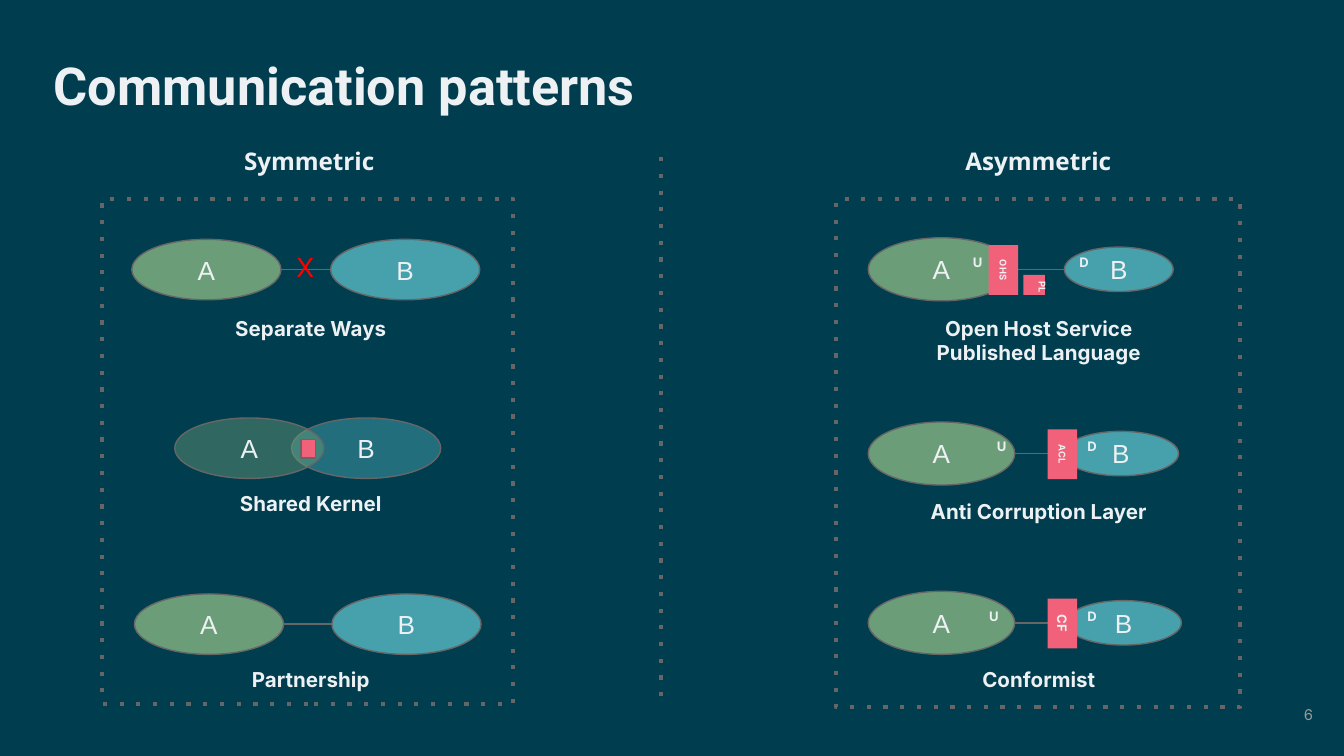
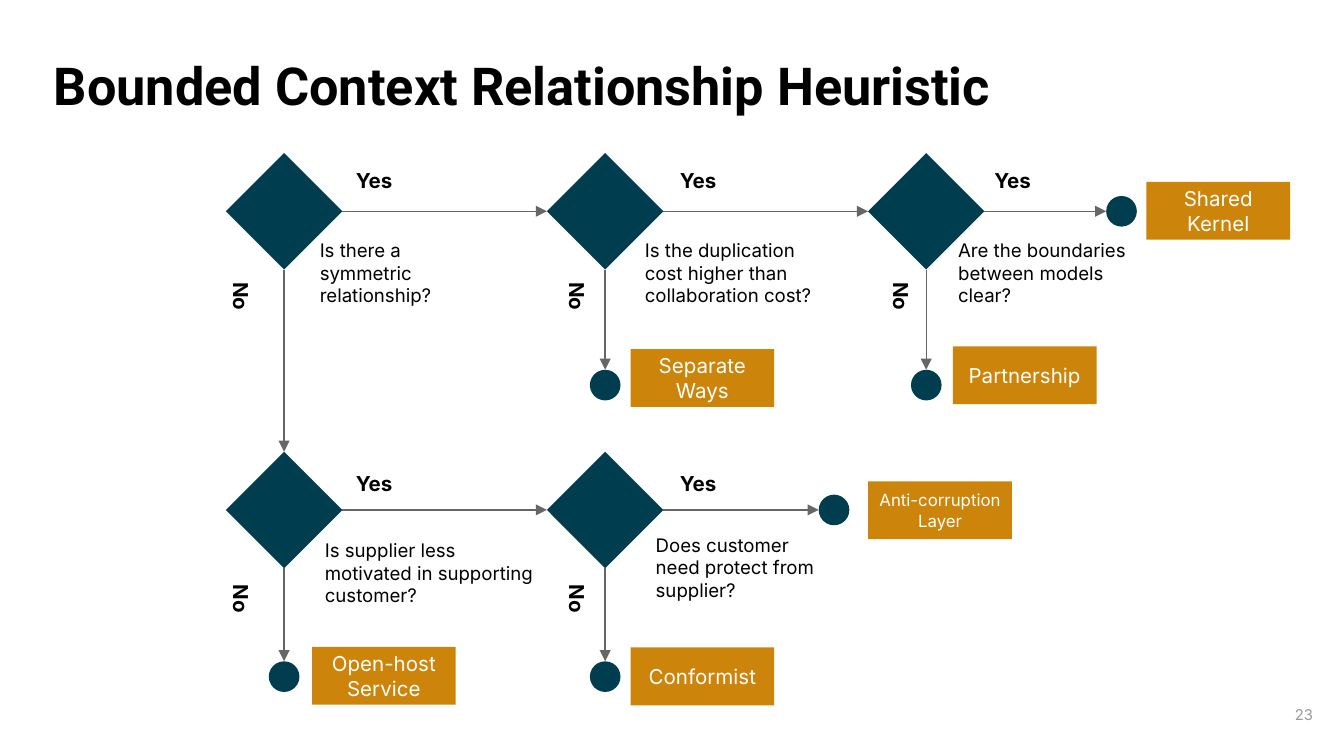
import dataclasses

import pptx
import pptx.dml.color
import pptx.enum.shapes
import pptx.enum.text
import pptx.oxml
import pptx.oxml.ns
import pptx.util

Pt = pptx.util.Pt
qn = pptx.oxml.ns.qn
Shape = pptx.enum.shapes.MSO_SHAPE
Align = pptx.enum.text.PP_ALIGN
Anchor = pptx.enum.text.MSO_ANCHOR
RGB = pptx.dml.color.RGBColor.from_string


@dataclasses.dataclass(frozen=True)
class Theme:
    navy: str = "003D4F"
    pale: str = "EDF1F3"
    white: str = "FFFFFF"
    black: str = "000000"
    gray: str = "666666"
    mute: str = "999999"
    green: str = "6B9E78"
    teal: str = "47A1AD"
    pink: str = "F2617A"
    amber: str = "CC850A"
    red: str = "FF0000"
    body: str = "Inter"
    title: str = "Roboto"
    head: str = "Open Sans"
    node: str = "Arial"
    title_size: float = 28
    node_size: float = 14
    head_size: float = 13
    label_size: float = 11
    ask_size: float = 10
    small_size: float = 9
    page_size: float = 8
    role_size: float = 7
    tag_size: float = 5
    thin: float = 0.75
    thick: float = 2.25


T = Theme()


def box(slide, kind, rect, text="", size=T.label_size, color=T.pale, font=T.body,
        bold=False, align=Align.CENTER, mid=None, inset=7.2, fit=False,
        fill=None, alpha=None, line=None, width=T.thin, turn=0):
    """Add a preset shape, or a text box when kind is None."""
    rect = [Pt(v) for v in rect]
    if kind is None:
        item = slide.shapes.add_textbox(*rect)
    else:
        item = slide.shapes.add_shape(kind, *rect)
        item.shadow.inherit = False
        if fill:
            item.fill.solid()
            item.fill.fore_color.rgb = RGB(fill)
        else:
            item.fill.background()
        if line:
            item.line.color.rgb = RGB(line)
            item.line.width = Pt(width)
        else:
            item.line.fill.background()
    if alpha:
        tone = item.fill._xPr.find(qn("a:solidFill"))[0]
        tone.append(pptx.oxml.parse_xml(
            f'<a:alpha {pptx.oxml.ns.nsdecls("a")} val="{alpha * 1000}"/>'))
    item.rotation = turn
    if not text:
        return item
    frame = item.text_frame
    frame.word_wrap = True
    if fit:
        frame.auto_size = pptx.enum.text.MSO_AUTO_SIZE.SHAPE_TO_FIT_TEXT
    frame.margin_left = frame.margin_right = Pt(inset)
    frame.margin_top = frame.margin_bottom = Pt(inset)
    if mid is None:
        mid = kind is not None
    frame.vertical_anchor = Anchor.MIDDLE if mid else Anchor.TOP
    for i, part in enumerate(text.split("\n")):
        para = frame.add_paragraph() if i else frame.paragraphs[0]
        para.alignment = align
        run = para.add_run()
        run.text = part
        run.font.name = font
        run.font.size = Pt(size)
        run.font.bold = bold
        run.font.color.rgb = RGB(color)
    return item


def link(slide, x1, y1, x2, y2, width=T.thin, arrow=False):
    item = slide.shapes.add_connector(
        pptx.enum.shapes.MSO_CONNECTOR.STRAIGHT, Pt(x1), Pt(y1), Pt(x2), Pt(y2))
    item.line.color.rgb = RGB(T.gray)
    item.line.width = Pt(width)
    pptx.oxml.ns.nsdecls("a")
    props = item._element.spPr
    if arrow:
        props.find(qn("a:ln")).append(pptx.oxml.parse_xml(
            f'<a:tailEnd {pptx.oxml.ns.nsdecls("a")} type="triangle"/>'))
    props.append(pptx.oxml.parse_xml(f'<a:effectLst {pptx.oxml.ns.nsdecls("a")}/>'))
    return item


deck = pptx.Presentation()
deck.slide_width, deck.slide_height = Pt(720), Pt(405)

pages = []
for title, page, back, ink in (
    ("Communication patterns", "6", T.navy, T.pale),
    ("Bounded Context Relationship Heuristic", "23", T.white, T.black),
):
    slide = deck.slides.add_slide(deck.slide_layouts[6])
    slide.background.fill.solid()
    slide.background.fill.fore_color.rgb = RGB(back)
    box(slide, None, (28.8, 28.8, 661.7, 45.4), title, T.title_size, ink, T.title,
        bold=True, align=Align.LEFT, inset=0)
    box(slide, None, (667.4, 367.2, 43.2, 31), page, T.page_size, T.mute,
        align=Align.RIGHT, mid=True)
    pages.append(slide)
pattern, flow = pages

# Communication patterns: frames, headings and divider
node = dict(size=T.node_size, font=T.node, line=T.gray)
label = dict(bold=True, fit=True)
dotted = []
for name, frame, head in (
    ("Symmetric", (54.7, 106.6, 220.3, 270.7), (72.7, 71.3, 185.8, 23)),
    ("Asymmetric", (447.8, 106.6, 216.7, 272.2), (470.2, 71.3, 172, 23.8)),
):
    dotted.append(box(pattern, Shape.RECTANGLE, frame, line=T.gray, width=T.thick))
    box(pattern, None, head, name, T.head_size, font=T.head, bold=True)
dotted.append(link(pattern, 354.2, 84.2, 354.2, 378, T.thick))
for item in dotted:
    item.line.dash_style = pptx.enum.dml.MSO_LINE.ROUND_DOT
    for dash in item._element.iter(qn("a:prstDash")):
        dash.set("val", "dot")

# Symmetric patterns
oval_w, oval_h = 79.9, 32.4
for name, ax, bx, top, label_y in (
    ("Separate Ways", 70.6, 177.1, 128.2, 162.7),
    ("Shared Kernel", 93.6, 156.2, 223.9, 256.3),
    ("Partnership", 72, 177.8, 318.2, 350.6),
):
    shared = bx < ax + oval_w
    box(pattern, Shape.OVAL, (bx, top, oval_w, oval_h), "B", fill=T.teal,
        alpha=49 if shared else None, **node)
    box(pattern, Shape.OVAL, (ax, top, oval_w, oval_h), "A", fill=T.green,
        alpha=45 if shared else None, **node)
    if shared:
        box(pattern, Shape.RECTANGLE, (161.3, 235.4, 7.9, 10.1),
            fill=T.pink, line=T.gray)
    else:
        link(pattern, ax + oval_w, top + oval_h / 2, bx, top + oval_h / 2)
    box(pattern, None, (73.6, label_y, 185.8, 28.1), name, **label)
box(pattern, None, (139, 127.4, 49, 31.7), "X", T.node_size, T.red, fit=True)

# Asymmetric patterns: upstream A, downstream B, pink tag on one side
up_x, up_w, up_h = 465.1, 78.5, 33.8
for name, top, bx, bw, ux, dx, tag, tag_x, tag_size, label_y, label_h in (
    ("Open Host Service\nPublished Language", 127.4, 570.2, 58.3, 499.7, 556.6,
     "OHS", 524.2, T.tag_size, 162, 41),
    ("Anti Corruption Layer", 226.1, 569.5, 61.9, 512.6, 560.9,
     "ACL", 555.8, T.tag_size, 260.6, 28.1),
    ("Conformist", 316.8, 571, 61.9, 508.3, 560.9,
     "CF", 555.8, T.role_size, 350.6, 28.1),
):
    mid = top + up_h / 2
    box(pattern, Shape.OVAL, (up_x, top, up_w, up_h), "A", fill=T.green, **node)
    box(pattern, Shape.OVAL, (bx, mid - 11.9, bw, 23.8), "B", fill=T.teal, **node)
    link(pattern, up_x + up_w, mid, bx, mid)
    box(pattern, None, (up_x, label_y, 182.9, label_h), name, **label)
    box(pattern, Shape.RECTANGLE, (tag_x, top + 9.4, 26.6, 15.8), tag, tag_size,
        bold=True, fill=T.pink, turn=90)
    for role, x in (("U", ux), ("D", dx)):
        box(pattern, None, (x, top + 4.8, 48.2, 23), role, T.role_size, **label)
box(pattern, Shape.RECTANGLE, (548.6, 146.9, 10.8, 11.5), fill=T.pink, turn=90)
box(pattern, None, (537.8, 143.3, 32.4, 20.9), "PL", T.tag_size, turn=90, **label)

# Heuristic: decisions on a grid, each with a Yes and a No branch
half, dot = 31.2, 8.2
cols = (152.2, 324.2, 496.2)
rows = (113.2, 273.2)
yes_x = (183.6, 357.1, 525.6)
no_x = (110.9, 290.9, 464.4)
yes_y = (83.5, 245.5)
no_y = (147.6, 309.6)
word = dict(color=T.black, align=Align.LEFT, fit=True)
for col, row, ask, spot, yes_end, no_end in (
    (0, 0, "Is there a symmetric relationship?",
     (164.2, 121, 79.9, 51.1), cols[1] - half, rows[1] - half),
    (1, 0, "Is the duplication cost higher than collaboration cost?",
     (338.4, 121, 109.4, 51.1), cols[2] - half, 198.1),
    (2, 0, "Are the boundaries between models clear?",
     (506.2, 121, 109.4, 51.1), 592.6, 198.1),
    (0, 1, "Is supplier less motivated in supporting customer?",
     (167, 281.5, 126.7, 51.1), cols[1] - half, 354.3),
    (1, 1, "Does customer need protect from supplier?",
     (344.2, 278.6, 100.8, 51.1), 438.6, 354.3),
):
    x, y = cols[col], rows[row]
    box(flow, Shape.DIAMOND, (x - half, y - half, 2 * half, 2 * half), fill=T.navy)
    link(flow, x + half, y, yes_end, y, arrow=True)
    link(flow, x, y + half, x, no_end, arrow=True)
    box(flow, None, spot, ask, T.ask_size, **word)
    box(flow, None, (yes_x[col], yes_y[row], 62.6, 28.1), "Yes", bold=True, **word)
    box(flow, None, (no_x[col], no_y[row], 35.3, 28.1), "No", bold=True, turn=90, **word)

# Heuristic: end points and the pattern each one names
for name, x, y, left, top, size in (
    ("Shared Kernel", 600.8, rows[0], 614.2, 97.4, T.label_size),
    ("Separate Ways", cols[1], 206.3, 337.8, 187.1, T.label_size),
    ("Partnership", cols[2], 206.3, 510.5, 185.6, T.label_size),
    ("Conformist", cols[1], 362.5, 337.8, 346.9, T.label_size),
    ("Anti-corruption Layer", 446.8, rows[1], 465.1, 257.9, T.small_size),
    ("Open-host Service", cols[0], 362.5, 167.2, 346.6, T.label_size),
):
    box(flow, Shape.OVAL, (x - dot, y - dot, 2 * dot, 2 * dot), fill=T.navy)
    box(flow, Shape.RECTANGLE, (left, top, 77, 31), name, size, T.white,
        inset=3.6, fill=T.amber)

deck.save("out.pptx")
